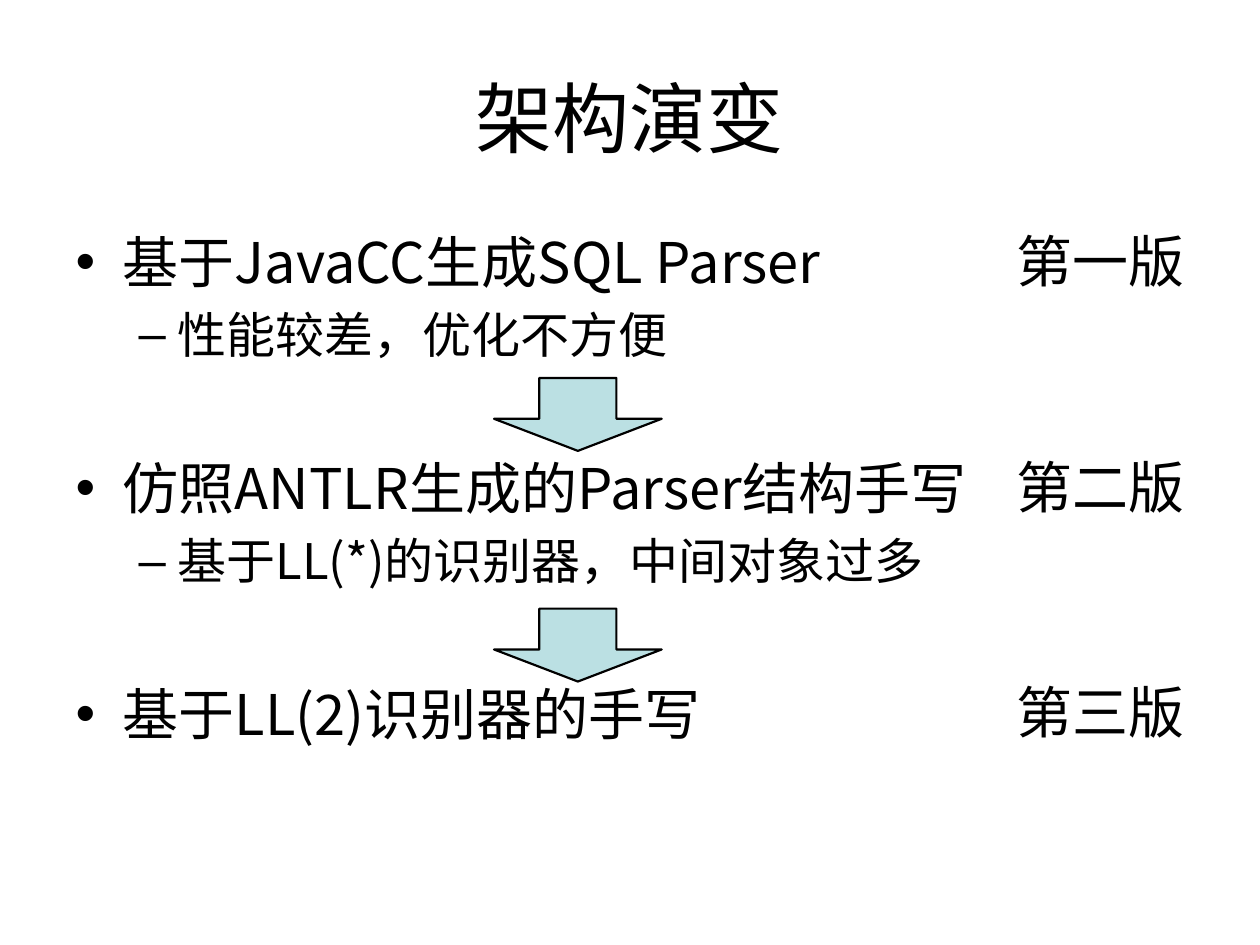
from dataclasses import dataclass

from lxml import etree
from pptx import Presentation
from pptx import util as u
from pptx.dml.color import RGBColor
from pptx.enum import shapes, text
from pptx.oxml import ns


@dataclass(frozen=True)
class Theme:
    ink: RGBColor = RGBColor(0x00, 0x00, 0x00)
    arrow: RGBColor = RGBColor(0xBB, 0xE0, 0xE3)
    title_font: str = "Arial"
    body_font: str = "Noto Sans CJK SC"
    label_font: str = "Courier New"
    title_size: int = 44
    item_size: int = 32
    detail_size: int = 28


@dataclass(frozen=True)
class Box:
    """A region in centimetres."""
    left: float
    top: float
    width: float
    height: float

    def place(self, shape):
        shape.left, shape.top = u.Cm(self.left), u.Cm(self.top)
        shape.width, shape.height = u.Cm(self.width), u.Cm(self.height)


THEME = Theme()
TITLE_BOX = Box(1.27, 0.76, 22.86, 3.18)
BODY_BOX = Box(1.27, 4.45, 22.86, 12.57)
VERSION_PITCH = 4.54
ARROW_PITCH = 4.65

# Version label, main point, detail
VERSIONS = [
    ("第一版", "基于JavaCC生成SQL Parser", "性能较差，优化不方便"),
    ("第二版", "仿照ANTLR生成的Parser结构手写", "基于LL(*)的识别器，中间对象过多"),
    ("第三版", "基于LL(2)识别器的手写", None),
]


def add_run(paragraph, words, font, size):
    run = paragraph.add_run()
    run.text = words
    run.font.name = font
    run.font.size = u.Pt(size)
    run.font.color.rgb = THEME.ink
    east_asian = etree.SubElement(run.font._element, ns.qn("a:ea"))
    east_asian.set("typeface", THEME.body_font)


def set_bullet(paragraph, mark, margin, hanging):
    properties = paragraph._p.get_or_add_pPr()
    properties.set("marL", str(u.Cm(margin)))
    properties.set("indent", str(-u.Cm(hanging)))
    bullet = etree.SubElement(properties, ns.qn("a:buChar"))
    bullet.set("char", mark)


def fill_title(shape, box):
    box.place(shape)
    frame = shape.text_frame
    frame.auto_size = text.MSO_AUTO_SIZE.NONE
    frame.vertical_anchor = text.MSO_ANCHOR.MIDDLE
    paragraph = frame.paragraphs[0]
    paragraph.alignment = text.PP_ALIGN.CENTER
    add_run(paragraph, "架构演变", THEME.title_font, THEME.title_size)


def fill_list(shape, box):
    box.place(shape)
    frame = shape.text_frame
    frame.auto_size = text.MSO_AUTO_SIZE.NONE
    frame.vertical_anchor = text.MSO_ANCHOR.TOP
    for index, (_, item, detail) in enumerate(VERSIONS):
        paragraph = frame.add_paragraph() if index else frame.paragraphs[0]
        set_bullet(paragraph, "•", 0.95, 0.95)
        # The gap above each later item leaves room for an arrow
        paragraph.space_before = u.Pt(51.5 if index else 0)
        add_run(paragraph, item, THEME.body_font, THEME.item_size)
        if detail:
            paragraph = frame.add_paragraph()
            paragraph.level = 1
            set_bullet(paragraph, "–", 2.06, 0.79)
            paragraph.space_before = u.Pt(5.8)
            add_run(paragraph, detail, THEME.body_font, THEME.detail_size)


def add_arrow(slide, box):
    shape = slide.shapes.add_shape(shapes.MSO_SHAPE.DOWN_ARROW, 0, 0, 0, 0)
    box.place(shape)
    shape.adjustments[0] = 0.46
    shape.adjustments[1] = 0.44
    shape.shadow.inherit = False
    shape.fill.solid()
    shape.fill.fore_color.rgb = THEME.arrow
    shape.line.color.rgb = THEME.ink
    shape.line.width = u.Pt(1.25)


def add_label(slide, box, words):
    shape = slide.shapes.add_textbox(0, 0, 0, 0)
    box.place(shape)
    frame = shape.text_frame
    frame.word_wrap = True
    paragraph = frame.paragraphs[0]
    paragraph.alignment = text.PP_ALIGN.RIGHT
    add_run(paragraph, words, THEME.label_font, THEME.item_size)


def add_evolution(slide, box):
    # Version list
    fill_list(slide.placeholders[1], box)
    # Arrows from one version to the next
    for step in range(len(VERSIONS) - 1):
        top = box.top + 3.17 + step * ARROW_PITCH
        add_arrow(slide, Box(box.left + 8.69, top, 3.38, 1.47))
    # Version labels along the right edge
    label_width = 4.88
    for index, (label, _, _) in enumerate(VERSIONS):
        top = box.top + index * VERSION_PITCH
        left = box.left + box.width - label_width
        add_label(slide, Box(left, top, label_width, 1.6), label)


def main():
    presentation = Presentation()
    presentation.slide_width, presentation.slide_height = u.Cm(25.4), u.Cm(19.05)
    slide = presentation.slides.add_slide(presentation.slide_layouts[1])
    fill_title(slide.shapes.title, TITLE_BOX)
    add_evolution(slide, BODY_BOX)
    presentation.save("out.pptx")


if __name__ == "__main__":
    main()
